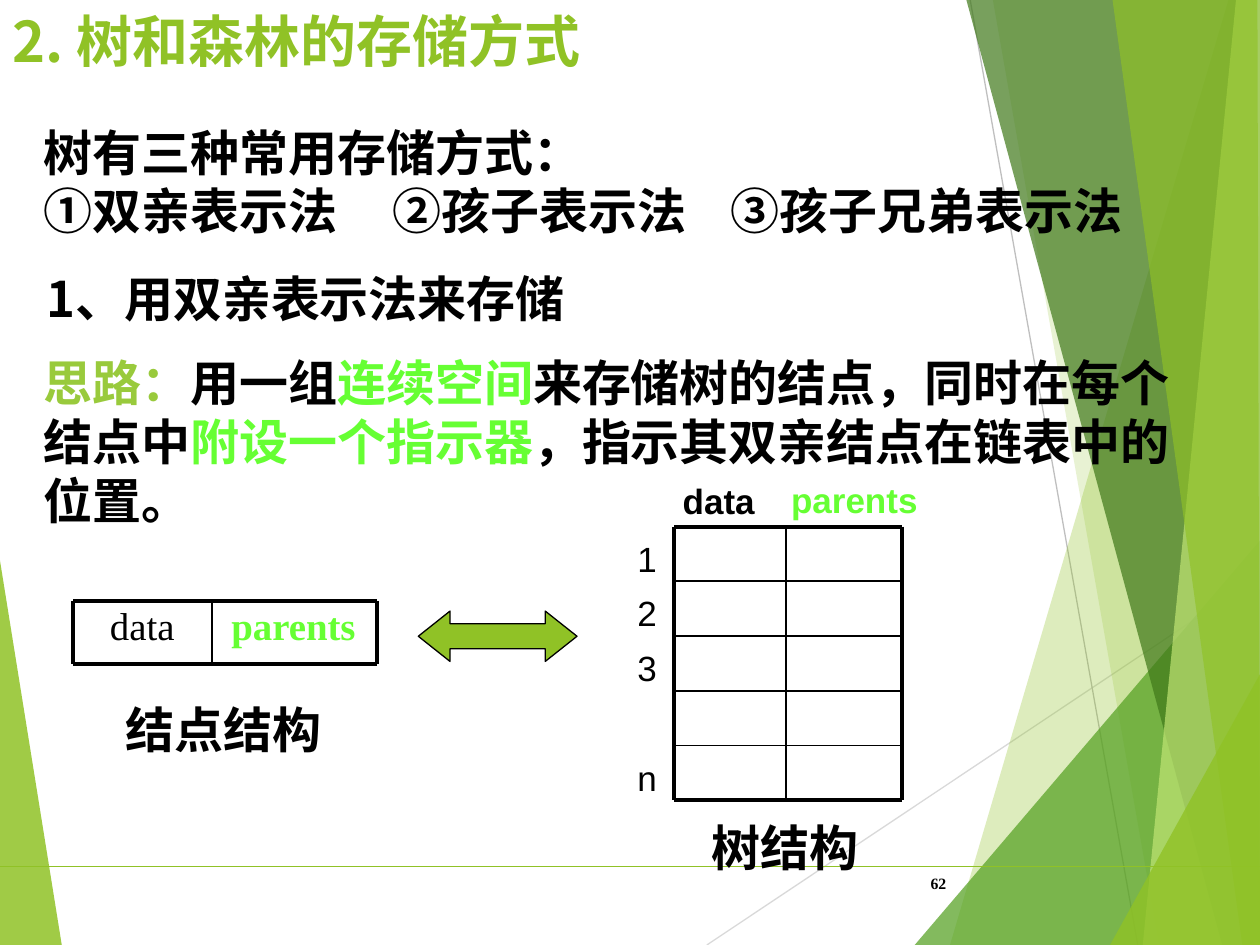
from dataclasses import dataclass
from typing import NamedTuple

import lxml.etree
import pptx
import pptx.dml.color
import pptx.enum.shapes
import pptx.enum.text
import pptx.oxml
import pptx.oxml.ns
import pptx.util

COLUMNS, ROWS = 100, 75
GREEN, BRIGHT, OLIVE, BLACK = "90C226", "66FF33", "99CA3C", "000000"
SERIF, SANS, HAN = "Times New Roman", "Arial", "Noto Sans CJK SC"
THICK, THIN, HAIR = 2.25, 1, 0.75
LEFT = pptx.enum.text.PP_ALIGN.LEFT
CENTER = pptx.enum.text.PP_ALIGN.CENTER
RIGHT = pptx.enum.text.PP_ALIGN.RIGHT


class Span(NamedTuple):
    text: str
    color: str = BLACK


class Facet(NamedTuple):
    points: list[tuple[float, float]]
    color: str
    opacity: int


class Rule(NamedTuple):
    start: tuple[float, float]
    end: tuple[float, float]
    color: str = BLACK
    weight: float = HAIR


@dataclass
class Label:
    box: tuple[float, float, float, float]
    lines: list[list[Span]]
    size: float
    font: str = SERIF
    bold: bool = True
    align: int = LEFT
    wrap: bool = False
    grow: bool = True
    middle: bool = False
    spacing: float | None = None
    tabs: tuple[float, ...] = ()


@dataclass
class Grid:
    xs: list[float]
    ys: list[float]


deck = pptx.Presentation()
deck.slide_width = pptx.util.Inches(10)
deck.slide_height = pptx.util.Inches(7.5)
slide = deck.slides.add_slide(deck.slide_layouts[6])


def across(columns: float) -> int:
    return round(deck.slide_width * columns / COLUMNS)


def down(rows: float) -> int:
    return round(deck.slide_height * rows / ROWS)


def rgb(color: str) -> pptx.dml.color.RGBColor:
    return pptx.dml.color.RGBColor.from_string(color)


def paint(shape, color: str, opacity: int = 100) -> None:
    shape.shadow.inherit = False
    shape.fill.solid()
    shape.fill.fore_color.rgb = rgb(color)
    if opacity < 100:
        tint = shape.fill._xPr.find(".//" + pptx.oxml.ns.qn("a:srgbClr"))
        alpha = lxml.etree.SubElement(tint, pptx.oxml.ns.qn("a:alpha"))
        alpha.set("val", str(opacity * 1000))


def draw_facet(facet: Facet) -> None:
    (x, y), *rest = facet.points
    builder = slide.shapes.build_freeform(across(x), down(y), scale=1.0)
    builder.add_line_segments([(across(px), down(py)) for px, py in rest], close=True)
    shape = builder.convert_to_shape()
    paint(shape, facet.color, facet.opacity)
    shape.line.fill.background()


def draw_rule(rule: Rule) -> None:
    (x1, y1), (x2, y2) = rule.start, rule.end
    line = slide.shapes.add_connector(
        pptx.enum.shapes.MSO_CONNECTOR.STRAIGHT, across(x1), down(y1), across(x2), down(y2)
    )
    line.line.color.rgb = rgb(rule.color)
    line.line.width = pptx.util.Pt(rule.weight)
    lxml.etree.SubElement(line._element.spPr, pptx.oxml.ns.qn("a:effectLst"))


def draw_grid(grid: Grid) -> None:
    left, right, top, bottom = grid.xs[0], grid.xs[-1], grid.ys[0], grid.ys[-1]
    for y in grid.ys:
        draw_rule(Rule((left, y), (right, y), weight=THICK if y in (top, bottom) else THIN))
    for x in grid.xs:
        draw_rule(Rule((x, top), (x, bottom), weight=THICK if x in (left, right) else THIN))


def draw_label(label: Label) -> None:
    x, y, width, height = label.box
    frame = slide.shapes.add_textbox(across(x), down(y), across(width), down(height)).text_frame
    frame.word_wrap = label.wrap
    sizing = pptx.enum.text.MSO_AUTO_SIZE
    frame.auto_size = sizing.SHAPE_TO_FIT_TEXT if label.grow else sizing.NONE
    anchor = pptx.enum.text.MSO_ANCHOR
    frame.vertical_anchor = anchor.MIDDLE if label.middle else anchor.TOP
    for index, spans in enumerate(label.lines):
        paragraph = frame.add_paragraph() if index else frame.paragraphs[0]
        paragraph.alignment = label.align
        paragraph.line_spacing = label.spacing
        if label.tabs:
            stops = lxml.etree.SubElement(
                paragraph._p.get_or_add_pPr(), pptx.oxml.ns.qn("a:tabLst")
            )
            for position in label.tabs:
                stop = lxml.etree.SubElement(stops, pptx.oxml.ns.qn("a:tab"))
                stop.set("pos", str(across(position)))
                stop.set("algn", "l")
        for span in spans:
            run = paragraph.add_run()
            run.text = span.text
            run.font.size = pptx.util.Pt(label.size)
            run.font.bold = label.bold
            run.font.name = label.font
            run.font.color.rgb = rgb(span.color)
            east_asian = lxml.etree.SubElement(run._r.get_or_add_rPr(), pptx.oxml.ns.qn("a:ea"))
            east_asian.set("typeface", HAN)


def draw_arrow(x: float, y: float, width: float, height: float) -> None:
    arrow = slide.shapes.add_shape(
        pptx.enum.shapes.MSO_SHAPE.LEFT_RIGHT_ARROW,
        across(x), down(y), across(width), down(height),
    )
    arrow.adjustments[0] = 0.5
    arrow.adjustments[1] = 0.63
    paint(arrow, GREEN)
    arrow.line.color.rgb = rgb(BLACK)
    arrow.line.width = pptx.util.Pt(HAIR)


left_facet = Facet([(0, 44.5), (4.9, 75), (0, 75)], GREEN, 85)
right_facets = [
    Facet([(97.5, 0), (75.4, 75), (100, 75), (100, 0)], GREEN, 30),
    Facet([(78.8, 0), (92, 75), (100, 75), (100, 0)], GREEN, 20),
    Facet([(72.6, 75), (100, 42.9), (100, 75)], "54A021", 72),
    Facet([(76.7, 0), (97, 75), (100, 75), (100, 0)], "3F7819", 70),
    Facet([(98.1, 0), (90.7, 75), (100, 75), (100, 0)], "C0E474", 70),
    Facet([(88.3, 0), (98.6, 75), (100, 75), (99.8, 0)], GREEN, 65),
    Facet([(88.1, 75), (100, 53.5), (100, 75)], GREEN, 80),
]
backdrop_rules = [
    Rule((56.1, 75), (100, 45.7), "D9D9D9"),
    Rule((77, 0), (90.3, 75), "BFBFBF"),
]
footer_rule = Rule((0, 68.75), (100, 68.75), GREEN)

node_grid = Grid([5.8, 16.8, 29.9], [47.7, 52.7])
tree_top, tree_pitch = 41.8, 4.34
tree_grid = Grid([53.5, 62.4, 71.6], [tree_top + tree_pitch * row for row in range(6)])

idea = [
    Span("思路：", OLIVE),
    Span("用一组"),
    Span("连续空间", BRIGHT),
    Span("来存储树的结点，同时在每个结点中"),
    Span("附设一个指示器", BRIGHT),
    Span("，指示其双亲结点在链表中的位置。"),
]
methods = [
    [Span("树有三种常用存储方式：")],
    [Span("①双亲表示法\t②孩子表示法\t③孩子兄弟表示法")],
]
labels = [
    Label((70.5, 68.1, 5.6, 4), [[Span("62")]], 9, align=RIGHT, wrap=True, grow=False, middle=True),
    Label((0, 0, 69.2, 8.3), [[Span("2. 树和森林的存储方式", GREEN)]], 32, HAN, wrap=True, grow=False),
    Label((2.5, 9.2, 93.3, 15), methods, 28, wrap=True, tabs=(27.7, 54.5)),
    Label((2.7, 20.8, 44.1, 5.7), [[Span("1、用双亲表示法来存储")]], 28, HAN),
    Label((2.5, 27.5, 95, 15), [idea], 28, wrap=True),
    Label((16.8, 47.7, 13, 5), [[Span("parents", BRIGHT)]], 22.2,
          align=CENTER, wrap=True, grow=False, spacing=0.9),
    Label((5.8, 47.7, 11, 5), [[Span("data")]], 22.2,
          bold=False, align=CENTER, wrap=True, grow=False, spacing=0.9),
    Label((9, 55, 17.5, 5.7), [[Span("结点结构")]], 28),
    Label((53.2, 37.6, 7.7, 4.4), [[Span("data")]], 20, SANS),
    Label((61.8, 37.5, 13, 4.4), [[Span("parents", BRIGHT)]], 20, SANS, wrap=True),
    Label((55.5, 64.4, 15.6, 5.7), [[Span("树结构")]], 28),
]
labels += [
    Label((49.6, tree_top + 0.35 + tree_pitch * row, 3.5, 4.4), [[Span(mark)]], 20, SANS, bold=False)
    for row, mark in {0: "1", 1: "2", 2: "3", 4: "n"}.items()
]

draw_facet(left_facet)
for backdrop_rule in backdrop_rules:
    draw_rule(backdrop_rule)
for right_facet in right_facets:
    draw_facet(right_facet)
draw_rule(footer_rule)
for label in labels:
    draw_label(label)
draw_grid(node_grid)
draw_arrow(33.2, 48.5, 12.6, 4)
draw_grid(tree_grid)

deck.save("out.pptx")
